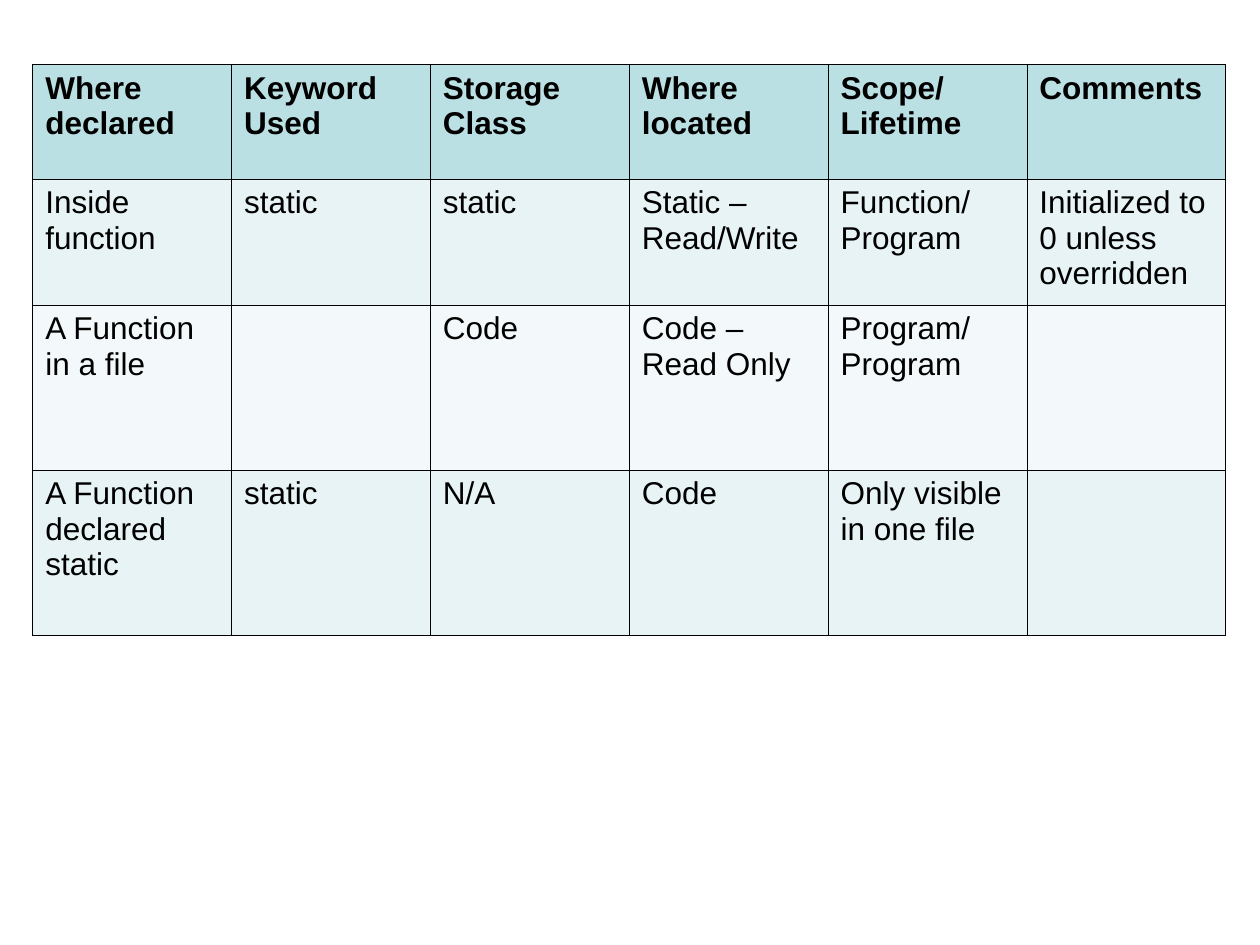
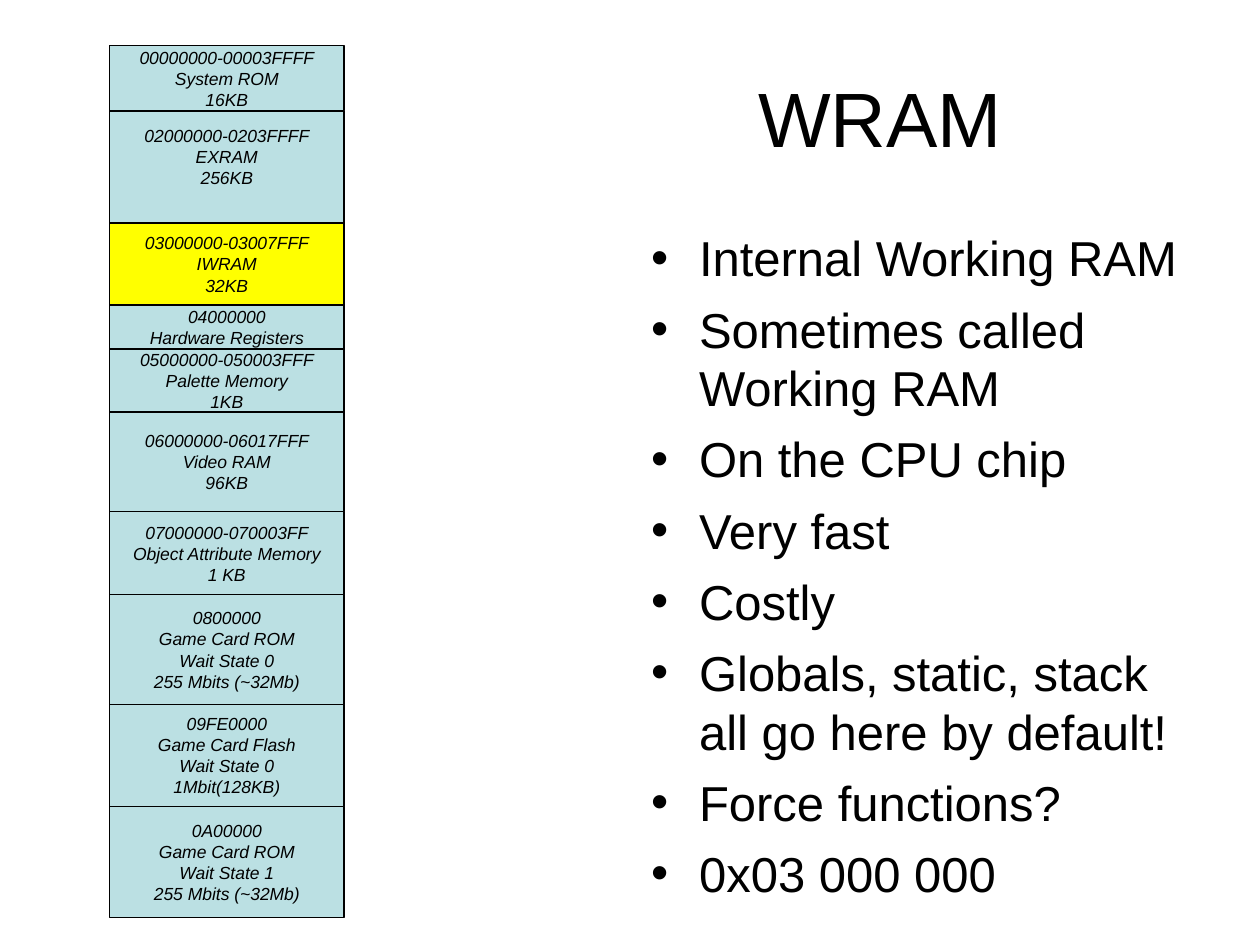
from lxml import etree
from pptx import Presentation
from pptx.dml.color import RGBColor
from pptx.enum.shapes import MSO_SHAPE
from pptx.enum.text import MSO_ANCHOR, PP_ALIGN
from pptx.oxml.ns import qn
from pptx.util import Inches, Pt

RECTANGLE = MSO_SHAPE.RECTANGLE
MIDDLE = MSO_ANCHOR.MIDDLE
CENTER = PP_ALIGN.CENTER

FONT = "Arial"
COLORS = {
    "ink": "000000",
    "teal": "BBE0E3",
    "band_dark": "E7F3F4",
    "band_light": "F3F9FA",
    "highlight": "FFFF00",
}
TITLE_ONLY, BLANK = 5, 6


def add_run(paragraph, text, size, bold=False, italic=False):
    run = paragraph.add_run()
    run.text = text
    run.font.name = FONT
    run.font.size = Pt(size)
    run.font.bold = bold
    run.font.italic = italic
    run.font.color.rgb = RGBColor.from_string(COLORS["ink"])


def add_cell_borders(cell, width):
    """Draw the four sides of a cell; borders must precede the fill in tcPr."""
    properties = cell._tc.get_or_add_tcPr()
    for index, side in enumerate(("a:lnL", "a:lnR", "a:lnT", "a:lnB")):
        border = etree.Element(qn(side), w=str(Pt(width)))
        fill = etree.SubElement(border, qn("a:solidFill"))
        etree.SubElement(fill, qn("a:srgbClr"), val=COLORS["ink"])
        properties.insert(index, border)


presentation = Presentation()
presentation.slide_width = Inches(10)
presentation.slide_height = Inches(7.5)

# Slide 1: storage table
slide = presentation.slides.add_slide(presentation.slide_layouts[BLANK])
storage_rows = [
    ("Where declared", "Keyword Used", "Storage Class", "Where located",
     "Scope/ Lifetime", "Comments"),
    ("Inside function", "static", "static", "Static – Read/Write",
     "Function/ Program", "Initialized to 0 unless overridden"),
    ("A Function in a file", "", "Code", "Code – Read Only",
     "Program/ Program", ""),
    ("A Function declared static", "static", "N/A", "Code",
     "Only visible in one file", ""),
]
row_heights = [0.91, 1, 1.31, 1.31]
row_fills = ["teal", "band_dark", "band_light", "band_dark"]
table_width = 9.47
column_count = len(storage_rows[0])

table = slide.shapes.add_table(
    len(storage_rows), column_count, Inches(0.26), Inches(0.51),
    Inches(table_width), Inches(sum(row_heights))).table
for column in table.columns:
    column.width = Inches(table_width / column_count)
for row_index, texts in enumerate(storage_rows):
    table.rows[row_index].height = Inches(row_heights[row_index])
    for column_index, text in enumerate(texts):
        cell = table.cell(row_index, column_index)
        cell.fill.solid()
        cell.fill.fore_color.rgb = RGBColor.from_string(
            COLORS[row_fills[row_index]])
        add_cell_borders(cell, 0.45)
        if text:
            add_run(cell.text_frame.paragraphs[0], text, 18,
                    bold=row_index == 0)

# Slide 2: title and bullets beside the memory map
slide = presentation.slides.add_slide(presentation.slide_layouts[TITLE_ONLY])
title = slide.shapes.title
title.left, title.top = Inches(4.47), Inches(0.3)
title.width, title.height = Inches(5.03), Inches(1.25)
title.text_frame.vertical_anchor = MIDDLE
title_paragraph = title.text_frame.paragraphs[0]
title_paragraph.alignment = CENTER
add_run(title_paragraph, "WRAM", 44)

bullets = [
    "Internal Working RAM",
    "Sometimes called Working RAM",
    "On the CPU chip",
    "Very fast",
    "Costly",
    "Globals, static, stack all go here by default!",
    "Force functions?",
    "0x03 000 000",
]
body = slide.shapes.add_textbox(
    Inches(5.07), Inches(1.76), Inches(4.42), Inches(5.55)).text_frame
body.word_wrap = True
for index, text in enumerate(bullets):
    paragraph = body.add_paragraph() if index else body.paragraphs[0]
    paragraph.space_before = Pt(7)
    properties = paragraph._p.get_or_add_pPr()
    properties.set("marL", str(Inches(0.38)))
    properties.set("indent", str(-Inches(0.38)))
    etree.SubElement(properties, qn("a:buFont"), typeface=FONT)
    etree.SubElement(properties, qn("a:buChar"), char="•")
    add_run(paragraph, text, 28)

# Height, fill and lines of each region, from low to high addresses
memory_regions = [
    (0.52, "teal", ["00000000-00003FFFF", "System ROM", "16KB"]),
    (0.89, "teal", ["02000000-0203FFFF", "EXRAM", "256KB"]),
    (0.65, "highlight", ["03000000-03007FFF", "IWRAM", "32KB"]),
    (0.35, "teal", ["04000000", "Hardware Registers"]),
    (0.5, "teal", ["05000000-050003FFF", "Palette Memory", "1KB"]),
    (0.79, "teal", ["06000000-06017FFF", "Video RAM", "96KB"]),
    (0.66, "teal", ["07000000-070003FF", "Object Attribute Memory", "1 KB"]),
    (0.87, "teal", ["0800000", "Game Card ROM", "Wait State 0",
                    "255 Mbits (~32Mb)"]),
    (0.81, "teal", ["09FE0000", "Game Card Flash", "Wait State 0",
                    "1Mbit(128KB)"]),
    (0.88, "teal", ["0A00000", "Game Card ROM", "Wait State 1",
                    "255 Mbits (~32Mb)"]),
]
region_top = 0.36
for height, fill, lines in memory_regions:
    region = slide.shapes.add_shape(
        RECTANGLE, Inches(0.87), Inches(region_top), Inches(1.86),
        Inches(height))
    region.shadow.inherit = False
    region.fill.solid()
    region.fill.fore_color.rgb = RGBColor.from_string(COLORS[fill])
    region.line.color.rgb = RGBColor.from_string(COLORS["ink"])
    region.line.width = Pt(0.75)
    frame = region.text_frame
    frame.word_wrap = False
    frame.vertical_anchor = MIDDLE
    frame.margin_top = 0
    # The EXRAM label sits above the middle of its box
    frame.margin_bottom = Inches(0.17) if "EXRAM" in lines else 0
    for index, text in enumerate(lines):
        paragraph = frame.add_paragraph() if index else frame.paragraphs[0]
        paragraph.alignment = CENTER
        add_run(paragraph, text, 10, italic=True)
    region_top += height

presentation.save("out.pptx")
